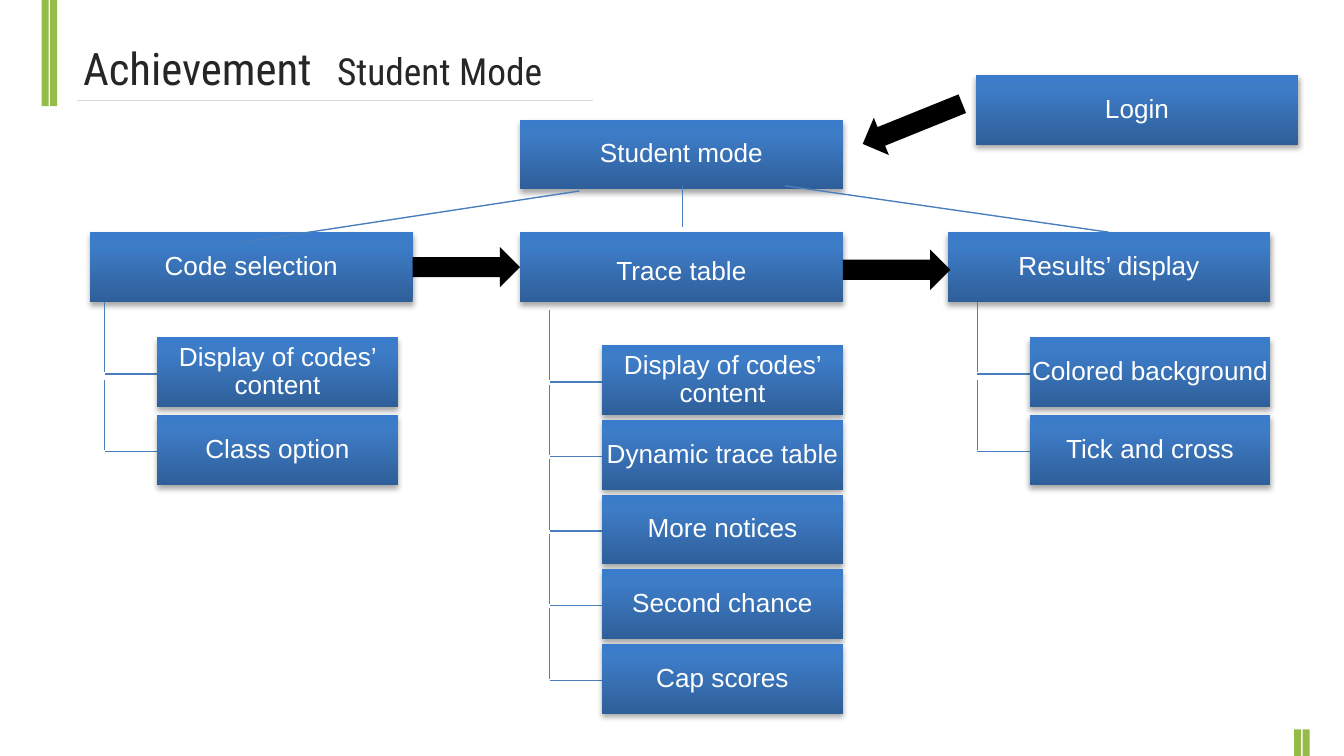
from copy import deepcopy

from lxml import etree
from pptx import Presentation
from pptx.dml.color import RGBColor
from pptx.enum.shapes import MSO_CONNECTOR, MSO_SHAPE
from pptx.enum.text import MSO_ANCHOR, PP_ALIGN
from pptx.oxml.ns import qn
from pptx.util import Cm, Pt

RECTANGLE, RIGHT_ARROW = MSO_SHAPE.RECTANGLE, MSO_SHAPE.RIGHT_ARROW
STRAIGHT = MSO_CONNECTOR.STRAIGHT
CENTER, MIDDLE = PP_ALIGN.CENTER, MSO_ANCHOR.MIDDLE

THEME = {
    "green": RGBColor.from_string("95BC49"),
    "rule": RGBColor.from_string("D9D9D9"),
    "title": RGBColor.from_string("262626"),
    "link": RGBColor.from_string("4B7EBC"),
    "arrow": RGBColor.from_string("000000"),
    "box_text": RGBColor.from_string("FFFFFF"),
    "gradient": [(0, "2F5F99"), (0.8, "3D7CC7"), (1, "3A7CCB")],
    "title_font": "Roboto Condensed",
    "box_font": "Arial",
    "title_size": Pt(24),
    "subtitle_size": Pt(20),
    "box_size": Pt(14),
}
WIDE, NARROW, BOX_HEIGHT = 6.1, 4.55, 1.32

deck = Presentation()
deck.slide_width, deck.slide_height = Cm(25.4), Cm(14.29)
page = deck.slides.add_slide(deck.slide_layouts[6])


def add_line(x1, y1, x2, y2, color=THEME["link"]):
    line = page.shapes.add_connector(STRAIGHT, Cm(x1), Cm(y1), Cm(x2), Cm(y2))
    line.line.color.rgb = color
    line.line.width = Pt(0.75)
    etree.SubElement(line._element.spPr, qn("a:effectLst"))


def add_box(text, left, top, width, text_drop=0):
    box = page.shapes.add_shape(RECTANGLE, Cm(left), Cm(top), Cm(width), Cm(BOX_HEIGHT))
    box.line.fill.background()
    # Three-stop gradient
    box.fill.gradient()
    box.fill.gradient_angle = 90
    properties = box._element.spPr
    stop_list = properties.find(".//" + qn("a:gsLst"))
    stop_list.append(deepcopy(stop_list[-1]))
    for stop, (position, color) in zip(box.fill.gradient_stops, THEME["gradient"]):
        stop.position = position
        stop.color.rgb = RGBColor.from_string(color)
    # Soft shadow below
    box.shadow.inherit = False
    shadow = etree.SubElement(properties.find(qn("a:effectLst")), qn("a:outerShdw"),
                              blurRad="39370", dist="22860", dir="5400000", rotWithShape="0")
    shade = etree.SubElement(shadow, qn("a:srgbClr"), val="000000")
    etree.SubElement(shade, qn("a:alpha"), val="35000")
    # Label
    frame = box.text_frame
    frame.text = text
    frame.word_wrap = True
    frame.vertical_anchor = MIDDLE
    frame.margin_left = frame.margin_right = frame.margin_bottom = Cm(0.03)
    frame.margin_top = Cm(0.03 + 2 * text_drop)
    para = frame.paragraphs[0]
    para.alignment = CENTER
    para.line_spacing = 0.9
    font = para.runs[0].font
    font.name, font.size = THEME["box_font"], THEME["box_size"]
    font.color.rgb = THEME["box_text"]


# Green corner bars
for left, top, height in [(0.79, 0, 2.01), (0.95, 0, 2.01), (24.46, 13.79, 0.5), (24.62, 13.79, 0.5)]:
    bar = page.shapes.add_shape(RECTANGLE, Cm(left), Cm(top), Cm(0.13), Cm(height))
    bar.fill.solid()
    bar.fill.fore_color.rgb = THEME["green"]
    bar.line.fill.background()
    bar.shadow.inherit = False

# Title with a tab stop before the subtitle
add_line(1.45, 1.9, 11.2, 1.9, THEME["rule"])
title = page.shapes.add_textbox(Cm(1.32), Cm(0.64), Cm(10.74), Cm(1.27))
title.text_frame.word_wrap = True
para = title.text_frame.paragraphs[0]
tabs = etree.SubElement(para._p.get_or_add_pPr(), qn("a:tabLst"))
etree.SubElement(tabs, qn("a:tab"), pos=str(Cm(4.8)), algn="l")
for text, size in [("Achievement", THEME["title_size"]), ("\tStudent Mode", THEME["subtitle_size"])]:
    span = para.add_run()
    span.text = text
    span.font.name, span.font.size = THEME["title_font"], size
    span.font.color.rgb = THEME["title"]

# Top boxes
add_box("Student mode", 9.83, 2.26, WIDE)
add_box("Login", 18.44, 1.42, WIDE)

# Branches: heading, left, text drop, trunk offset, first child top, pitch, children
branches = [
    ("Code selection", 1.7, 0, 0.28, 6.38, 1.47, ["Display of codes’ content", "Class option"]),
    ("Trace table", 9.83, 0.1, 0.56, 6.53, 1.41,
     ["Display of codes’ content", "Dynamic trace table", "More notices", "Second chance", "Cap scores"]),
    ("Results’ display", 17.91, 0, 0.56, 6.38, 1.47, ["Colored background", "Tick and cross"]),
]
for heading, left, drop, offset, first_top, pitch, children in branches:
    add_box(heading, left, 4.39, WIDE, drop)
    trunk = left + offset
    for index, child in enumerate(children):
        top = first_top + index * pitch
        add_line(trunk, top - 0.67, trunk, top + 0.66)
        add_line(trunk, top + 0.69, trunk + 0.99, top + 0.69)
        add_box(child, trunk + 0.99, top, NARROW)

# Links from the student mode box to the branches
for link in [(4.65, 4.57, 10.95, 3.61), (12.9, 3.51, 12.9, 4.29), (14.83, 3.51, 20.96, 4.39)]:
    add_line(*link)

# Flow arrows
for left, top, angle in [(7.8, 4.67, 0), (15.93, 4.72, 0), (16.23, 1.96, 158)]:
    arrow = page.shapes.add_shape(RIGHT_ARROW, Cm(left), Cm(top), Cm(2.03), Cm(0.76))
    arrow.rotation = angle
    arrow.fill.solid()
    arrow.fill.fore_color.rgb = THEME["arrow"]
    arrow.line.fill.background()
    arrow.shadow.inherit = False

deck.save("out.pptx")
